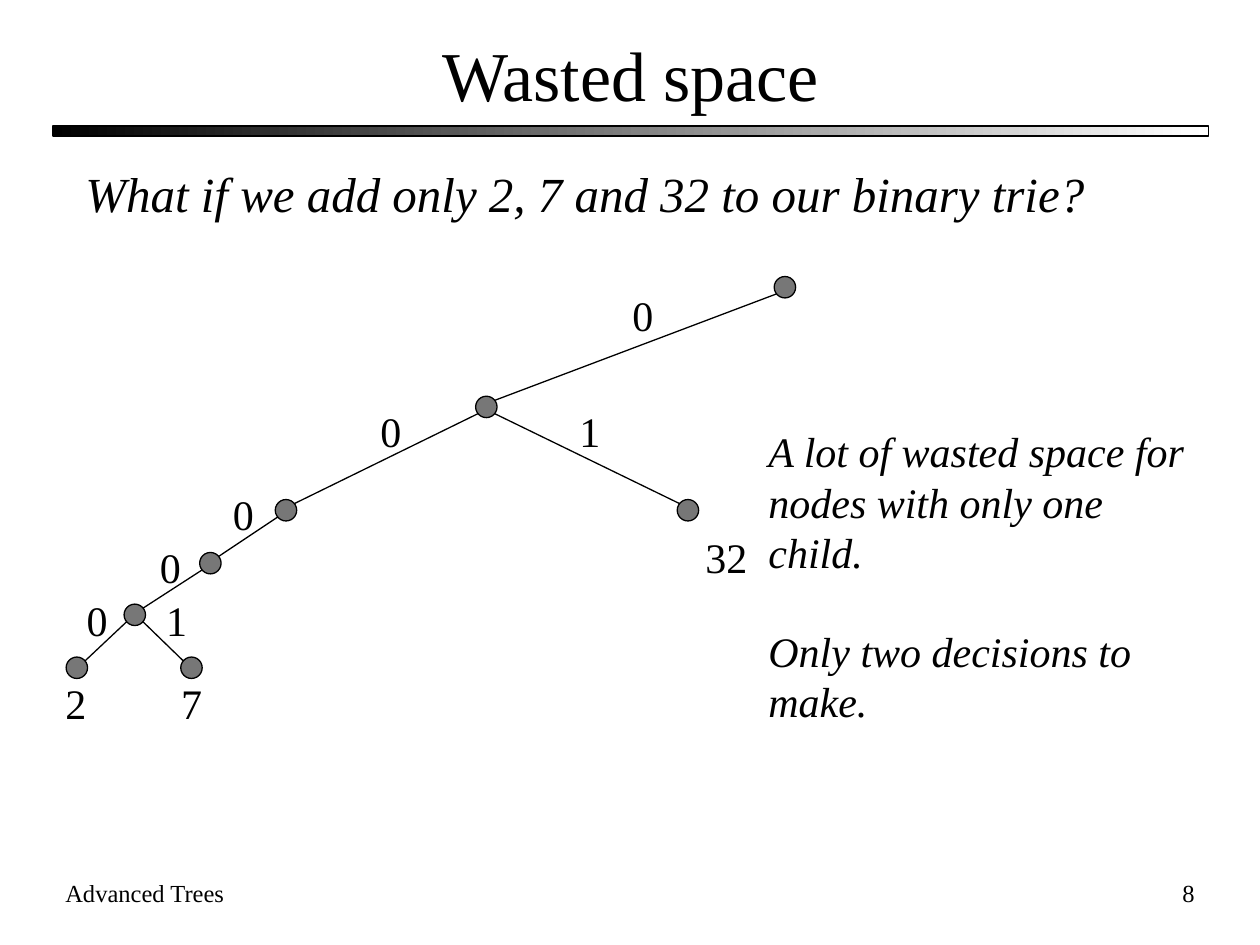
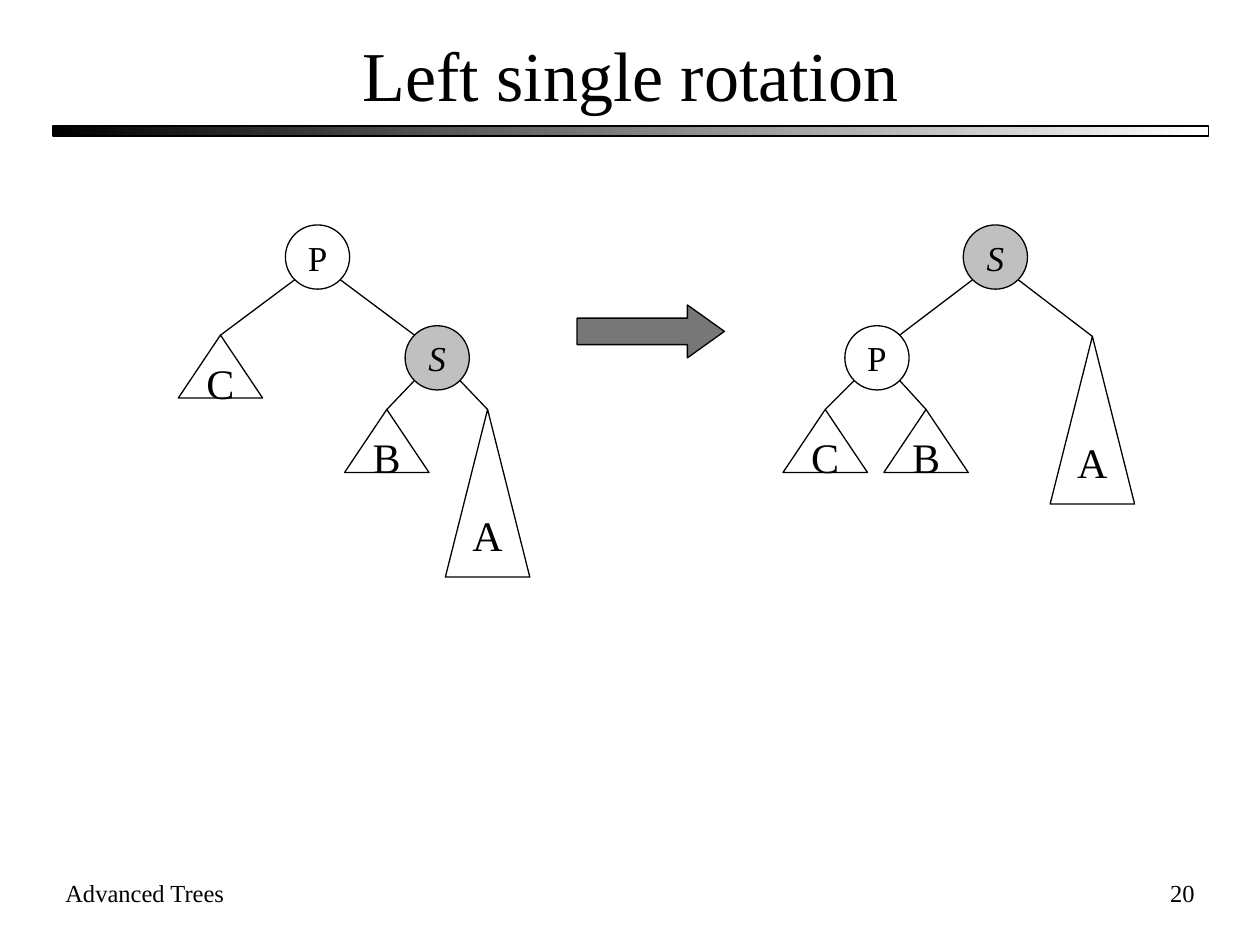
from dataclasses import dataclass

from lxml.etree import SubElement
from pptx import Presentation
from pptx.dml.color import RGBColor
from pptx.enum.shapes import MSO_CONNECTOR as Connector, MSO_SHAPE as Preset
from pptx.enum.text import MSO_ANCHOR as Anchor, MSO_AUTO_SIZE as AutoSize, PP_ALIGN as Align
from pptx.oxml.ns import qn
from pptx.util import Inches, Pt

# Shared look
FONT = "Times New Roman"
COLORS = {"ink": "000000", "paper": "FFFFFF", "node": "777777", "pivot": "C0C0C0"}
FOOTER = "Advanced Trees"
LEFT, WIDTH = 0.42, 9.17
LINE_WIDTH = Pt(0.75)

# Tree measures
DOT = 0.17
CIRCLE = 0.51
SUBTREE_WIDTH = 0.67
SHORT, TALL = 0.5, 1.33


@dataclass(frozen=True)
class Point:
    x: float
    y: float


@dataclass(frozen=True)
class Label:
    text: str
    left: float
    top: float
    width: float = 0.36


@dataclass(frozen=True)
class Circle:
    text: str
    center: Point
    pivot: bool = False


@dataclass(frozen=True)
class Subtree:
    text: str
    apex: Point
    height: float = SHORT


@dataclass(frozen=True)
class Rotation:
    root: Circle
    child: Circle
    outer: Subtree  # hangs from the root
    inner: tuple[Subtree, Subtree]  # hang from the child


def rgb(name: str) -> RGBColor:
    return RGBColor.from_string(COLORS[name])


def style_text(frame, size: float, align=Align.LEFT, italic: bool = False) -> None:
    for para in frame.paragraphs:
        para.alignment = align
        for span in para.runs:
            span.font.name = FONT
            span.font.size = Pt(size)
            span.font.italic = italic
            span.font.color.rgb = rgb("ink")


def add_text(page, text: str, left: float, top: float, width: float, height: float,
             size: float, align=Align.LEFT, italic: bool = False,
             anchor=Anchor.TOP, wrap: bool = True):
    box = page.shapes.add_textbox(Inches(left), Inches(top), Inches(width), Inches(height))
    frame = box.text_frame
    frame.word_wrap = wrap
    frame.vertical_anchor = anchor
    frame.text = text
    style_text(frame, size, align, italic)
    return frame


def add_label(page, label: Label) -> None:
    frame = add_text(page, label.text, label.left, label.top, label.width, 0.5, 24, wrap=False)
    frame.auto_size = AutoSize.SHAPE_TO_FIT_TEXT


def add_preset(page, preset, left: float, top: float, width: float, height: float,
               fill: str | None = None):
    shape = page.shapes.add_shape(preset, Inches(left), Inches(top), Inches(width), Inches(height))
    shape.shadow.inherit = False
    shape.line.color.rgb = rgb("ink")
    shape.line.width = LINE_WIDTH
    if fill:
        shape.fill.solid()
        shape.fill.fore_color.rgb = rgb(fill)
    else:
        shape.fill.background()
    return shape


def add_line(page, start: Point, end: Point) -> None:
    line = page.shapes.add_connector(Connector.STRAIGHT, Inches(start.x), Inches(start.y),
                                     Inches(end.x), Inches(end.y))
    line.line.color.rgb = rgb("ink")
    line.line.width = LINE_WIDTH
    SubElement(line._element.spPr, qn("a:effectLst"))


def toward(center: Point, target: Point, dx: float, dy: float) -> Point:
    """Point on the side of a node that faces the target."""
    return Point(center.x + (dx if target.x > center.x else -dx),
                 center.y + (dy if target.y > center.y else -dy))


def add_page(deck, title: str, number: int):
    page = deck.slides.add_slide(deck.slide_layouts[6])
    # Gradient rule under the title
    rule = add_preset(page, Preset.RECTANGLE, LEFT, 1, WIDTH, 0.08)
    rule.fill.gradient()
    rule.fill.gradient_angle = 0
    for stop, color, position in zip(rule.fill.gradient_stops, ("ink", "paper"), (0, 1)):
        stop.color.rgb = rgb(color)
        stop.position = position
    # Footer and title
    add_text(page, FOOTER, LEFT, 6.92, 3.5, 0.5, 14)
    add_text(page, str(number), 7.5, 6.92, 2.08, 0.5, 14, Align.RIGHT)
    add_text(page, title, LEFT, 0.17, WIDTH, 0.83, 40, Align.CENTER, anchor=Anchor.MIDDLE)
    return page


# Slide content: binary trie
TRIE_NODES = {
    "root": Point(6.23, 2.28),
    "0": Point(3.86, 3.23),
    "00": Point(2.27, 4.05),
    "01": Point(5.46, 4.05),
    "000": Point(1.67, 4.47),
    "0000": Point(1.07, 4.88),
    "00000": Point(0.61, 5.3),
    "00001": Point(1.52, 5.3),
}
EDGE_LABELS = {
    "0": Label("0", 4.92, 2.25),
    "00": Label("0", 2.92, 3.17),
    "01": Label("1", 4.5, 3.17),
    "000": Label("0", 1.75, 3.83),
    "0000": Label("0", 1.17, 4.25),
    "00000": Label("0", 0.59, 4.67),
    "00001": Label("1", 1.22, 4.67),
}
LEAF_LABELS = (Label("2", 0.42, 5.33), Label("7", 1.34, 5.33), Label("32", 5.5, 4.17, 0.53))
TRIE_NOTES = ("A lot of wasted space for nodes with only one child.", "Only two decisions to make.")

# Slide content: trees before and after the rotation
BEFORE = Rotation(
    root=Circle("P", Point(2.52, 2.04)),
    child=Circle("S", Point(3.47, 2.84), pivot=True),
    outer=Subtree("C", Point(1.75, 2.66)),
    inner=(Subtree("B", Point(3.07, 3.25)), Subtree("A", Point(3.87, 3.25), TALL)),
)
AFTER = Rotation(
    root=Circle("S", Point(7.9, 2.04), pivot=True),
    child=Circle("P", Point(6.96, 2.84)),
    outer=Subtree("A", Point(8.67, 2.67), TALL),
    inner=(Subtree("C", Point(6.55, 3.25)), Subtree("B", Point(7.35, 3.25))),
)


def add_shape_text(shape, text: str, size: float, italic: bool = False) -> None:
    frame = shape.text_frame
    frame.word_wrap = False
    frame.vertical_anchor = Anchor.MIDDLE
    frame.text = text
    style_text(frame, size, Align.CENTER, italic)


def add_circle(page, circle: Circle) -> None:
    shape = add_preset(page, Preset.OVAL, circle.center.x - CIRCLE / 2,
                       circle.center.y - CIRCLE / 2, CIRCLE, CIRCLE,
                       "pivot" if circle.pivot else None)
    add_shape_text(shape, circle.text, 20, circle.pivot)


def add_subtree(page, subtree: Subtree) -> None:
    shape = add_preset(page, Preset.ISOSCELES_TRIANGLE, subtree.apex.x - SUBTREE_WIDTH / 2,
                       subtree.apex.y, SUBTREE_WIDTH, subtree.height)
    add_shape_text(shape, subtree.text, 24)


def add_rotation(page, tree: Rotation) -> None:
    reach = 0.18
    root, child = tree.root.center, tree.child.center
    add_line(page, toward(root, child, reach, reach), toward(child, root, reach, reach))
    hanging = [(root, tree.outer)] + [(child, subtree) for subtree in tree.inner]
    for parent, subtree in hanging:
        add_line(page, toward(parent, subtree.apex, reach, reach), subtree.apex)
        add_subtree(page, subtree)
    for circle in (tree.root, tree.child):
        add_circle(page, circle)


def build_trie_page(deck) -> None:
    page = add_page(deck, "Wasted space", 8)
    add_text(page, "What if we add only 2, 7 and 32 to our binary trie?",
             0.58, 1.25, 8.83, 0.67, 28, italic=True)
    # Each node's key is its path; dropping the last bit gives the parent
    for key, label in EDGE_LABELS.items():
        parent, child = TRIE_NODES[key[:-1] or "root"], TRIE_NODES[key]
        add_line(page, toward(parent, child, 0.06, 0.05), toward(child, parent, 0.06, 0.05))
        add_label(page, label)
    for node in TRIE_NODES.values():
        add_preset(page, Preset.OVAL, node.x - DOT / 2, node.y - DOT / 2, DOT, DOT, "node")
    for label in LEAF_LABELS:
        add_label(page, label)
    # Remarks, one line apart
    notes = add_text(page, "\n".join(TRIE_NOTES), 6, 3.33, 3.58, 2.5, 24, italic=True)
    notes.auto_size = AutoSize.SHAPE_TO_FIT_TEXT
    notes.paragraphs[1].space_before = Pt(27.6)


def build_rotation_page(deck) -> None:
    page = add_page(deck, "Left single rotation", 20)
    for tree in (BEFORE, AFTER):
        add_rotation(page, tree)
    arrow = add_preset(page, Preset.RIGHT_ARROW, 4.58, 2.42, 1.17, 0.42, "node")
    arrow.adjustments[0] = 0.5
    arrow.adjustments[1] = 0.7


def main() -> None:
    deck = Presentation()
    deck.slide_width, deck.slide_height = Inches(10), Inches(7.5)
    build_trie_page(deck)
    build_rotation_page(deck)
    deck.save("out.pptx")


if __name__ == "__main__":
    main()
